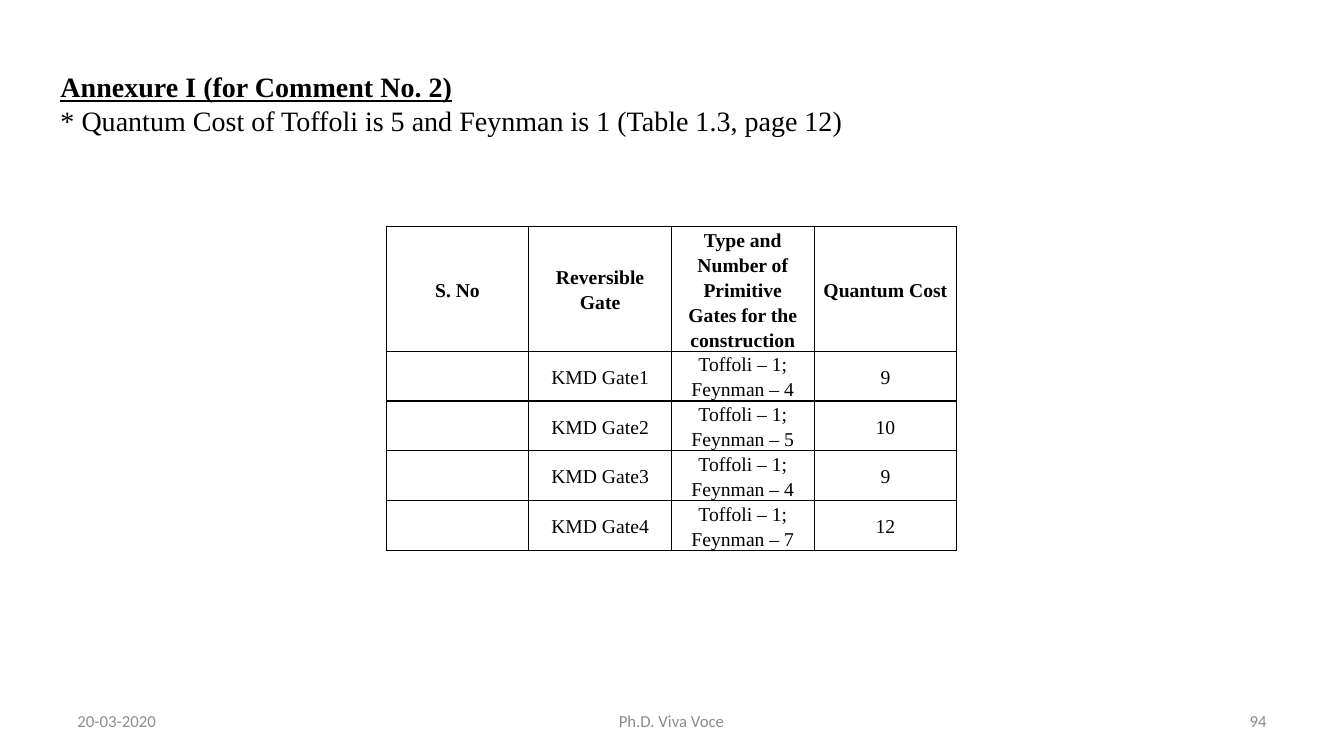
from lxml import etree
from pptx import Presentation
from pptx.dml.color import RGBColor
from pptx.enum.text import MSO_ANCHOR, MSO_AUTO_SIZE, PP_ALIGN
from pptx.oxml.ns import qn
from pptx.util import Inches, Pt

BLACK = RGBColor(0x00, 0x00, 0x00)
GREY = RGBColor(0x8C, 0x8C, 0x8C)
SERIF = "Times New Roman"
SANS = "Calibri"
MIDDLE = MSO_ANCHOR.MIDDLE
NO_AUTOFIT = MSO_AUTO_SIZE.NONE
LEFT, CENTER, RIGHT = PP_ALIGN.LEFT, PP_ALIGN.CENTER, PP_ALIGN.RIGHT

TITLE_ONLY = 5
HEADING = "Annexure I (for Comment No. 2)"
REMARK = "* Quantum Cost of Toffoli is 5 and Feynman is 1 (Table 1.3, page 12)"
GATE_ROWS = [
    ("S. No", "Reversible Gate",
     "Type and Number of Primitive Gates for the construction", "Quantum Cost"),
    ("", "KMD Gate1", "Toffoli – 1; Feynman – 4", "9"),
    ("", "KMD Gate2", "Toffoli – 1; Feynman – 5", "10"),
    ("", "KMD Gate3", "Toffoli – 1; Feynman – 4", "9"),
    ("", "KMD Gate4", "Toffoli – 1; Feynman – 7", "12"),
]


def add_run(paragraph, text, size, name, color, bold=False, underline=False):
    """Add one formatted run to a paragraph."""
    run = paragraph.add_run()
    run.text = text
    font = run.font
    font.size, font.name, font.bold, font.underline = Pt(size), name, bold, underline
    font.color.rgb = color


def fill_title(title, left, top, width, height):
    """Place the title and write the heading with its remark."""
    title.left, title.top = Inches(left), Inches(top)
    title.width, title.height = Inches(width), Inches(height)
    frame = title.text_frame
    frame.word_wrap = True
    frame.auto_size = NO_AUTOFIT
    frame.vertical_anchor = MIDDLE
    lines = [(HEADING, True), (REMARK, False)]
    for index, (text, strong) in enumerate(lines):
        paragraph = frame.add_paragraph() if index else frame.paragraphs[0]
        paragraph.alignment = LEFT
        properties = paragraph._p.get_or_add_pPr()
        properties.set("marL", "0")
        properties.set("indent", str(Inches(0.5)))
        add_run(paragraph, text, 20, SERIF, BLACK, strong, strong)


def format_cell(cell):
    """Give a cell its borders, insets and clear fill."""
    properties = cell._tc.get_or_add_tcPr()
    for side in ("a:lnL", "a:lnR", "a:lnT", "a:lnB"):
        line = etree.SubElement(properties, qn(side), w=str(Pt(1)))
        solid = etree.SubElement(line, qn("a:solidFill"))
        etree.SubElement(solid, qn("a:srgbClr"), val=str(BLACK))
    cell.fill.background()
    cell.vertical_anchor = MIDDLE
    cell.margin_left = cell.margin_right = Inches(0.07)
    cell.margin_top = cell.margin_bottom = 0


def add_gate_table(slide, left, top, width, header_height, row_height):
    """Add the table of gates and their quantum costs."""
    row_count, column_count = len(GATE_ROWS), len(GATE_ROWS[0])
    height = header_height + row_height * (row_count - 1)
    table = slide.shapes.add_table(
        row_count, column_count,
        Inches(left), Inches(top), Inches(width), Inches(height)).table
    table.horz_banding = False
    table.first_row = False
    for row_index, texts in enumerate(GATE_ROWS):
        is_header = row_index == 0
        table.rows[row_index].height = Inches(header_height if is_header else row_height)
        for column_index, text in enumerate(texts):
            cell = table.cell(row_index, column_index)
            format_cell(cell)
            if text:
                paragraph = cell.text_frame.paragraphs[0]
                paragraph.alignment = CENTER
                paragraph.line_spacing = 1.15
                add_run(paragraph, text, 14, SERIF, BLACK, is_header)


def add_footer(slide, top, height):
    """Add the date, event and page number along the bottom."""
    parts = [
        ("20-03-2020", 0.67, 3.11, LEFT),
        ("Ph.D. Viva Voce", 4.55, 4.22, CENTER),
        ("94", 9.55, 3.11, RIGHT),
    ]
    for text, left, width, alignment in parts:
        box = slide.shapes.add_textbox(
            Inches(left), Inches(top), Inches(width), Inches(height))
        frame = box.text_frame
        frame.word_wrap = True
        frame.vertical_anchor = MIDDLE
        paragraph = frame.paragraphs[0]
        paragraph.alignment = alignment
        add_run(paragraph, text, 12, SANS, GREY)


def main():
    """Build and save the slide."""
    presentation = Presentation()
    presentation.slide_width, presentation.slide_height = Inches(13.33), Inches(7.5)
    slide = presentation.slides.add_slide(presentation.slide_layouts[TITLE_ONLY])
    fill_title(slide.shapes.title, 0, 0.64, 8.52, 0.77)
    add_gate_table(slide, 3.83, 2.25, 5.66, 1.23, 0.49)
    add_footer(slide, 6.95, 0.4)
    presentation.save("out.pptx")


if __name__ == "__main__":
    main()
